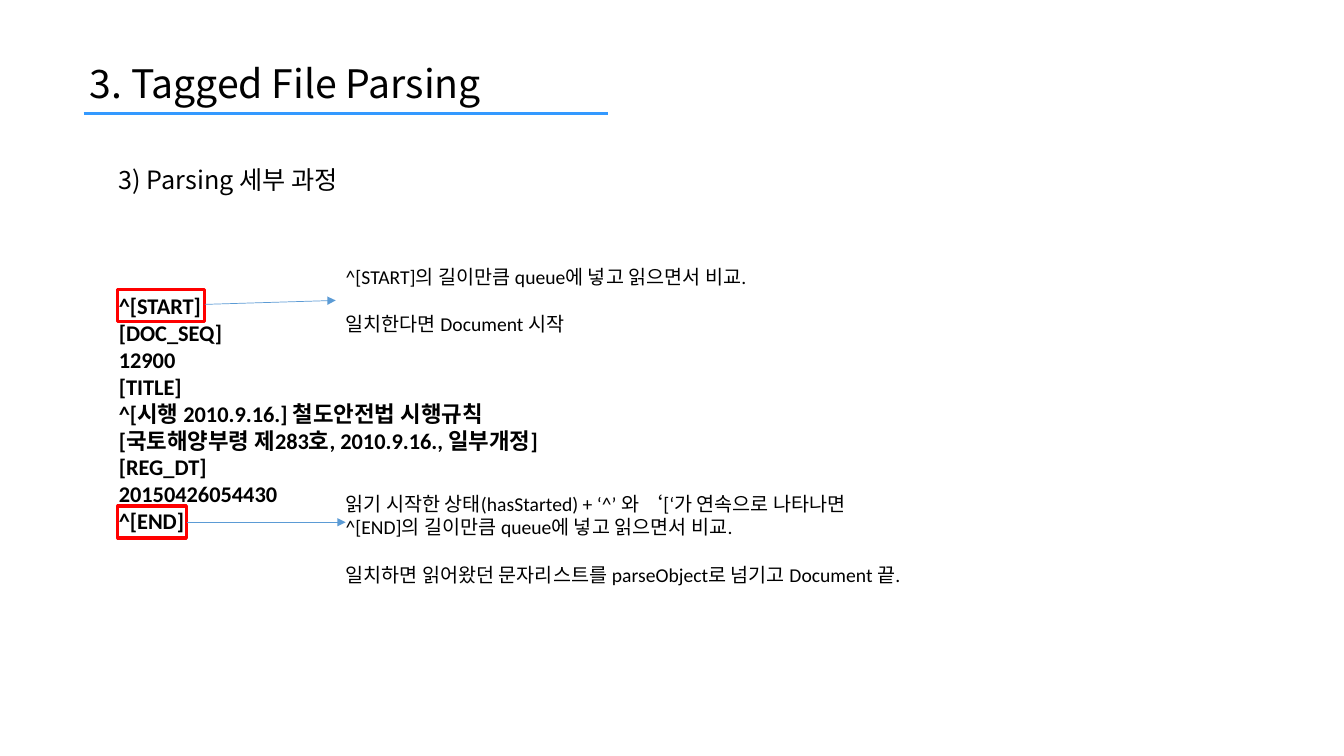
"""Build the slide that explains how a tagged file is parsed."""
from pptx import Presentation
from pptx import util as u
from pptx.dml.color import RGBColor
from pptx.enum import shapes, text
from pptx.oxml.ns import qn
from lxml import etree

HEADING_FONT = "Noto Sans CJK KR"
BODY_FONT = "Calibri"
BLACK, RED = "000000", "FF0000"
TITLE_BLUE, ARROW_BLUE = "3399FF", "5B9BD5"
TAGGED_LINES = [
    "^[START]",
    "[DOC_SEQ]",
    "12900",
    "[TITLE]",
    "^[시행 2010.9.16.] 철도안전법 시행규칙",
    "[국토해양부령 제283호, 2010.9.16., 일부개정]",
    "[REG_DT]",
    "20150426054430",
    "^[END]",
]
START_NOTE = ["^[START]의 길이만큼 queue에 넣고 읽으면서 비교.", "일치한다면 Document 시작"]
END_NOTE = [
    "읽기 시작한 상태(hasStarted) + ‘^’ 와 ‘[‘가 연속으로 나타나면",
    "^[END]의 길이만큼 queue에 넣고 읽으면서 비교.",
    "일치하면 읽어왔던 문자리스트를 parseObject로 넘기고 Document 끝.",
]


def colour(hex_string):
    """Turn a hex string into a colour."""
    return RGBColor.from_string(hex_string)


def lengths(*values):
    """Turn centimetre values into lengths."""
    return [u.Cm(value) for value in values]


def place(shape, left, top, width, height):
    """Move and size a shape, in centimetres."""
    shape.left, shape.top, shape.width, shape.height = lengths(left, top, width, height)


def write(shape, lines, size, font, bold=False, anchor=text.MSO_ANCHOR.TOP):
    """Fill a shape with plain left-aligned lines."""
    frame = shape.text_frame
    frame.text = "\n".join(lines)
    frame.word_wrap = True
    frame.auto_size = text.MSO_AUTO_SIZE.NONE
    frame.vertical_anchor = anchor
    for paragraph in frame.paragraphs:
        paragraph.alignment = text.PP_ALIGN.LEFT
        paragraph.space_before = u.Pt(0)
        for run in paragraph.runs:
            run.font.size = u.Pt(size)
            run.font.name = font
            run.font.bold = bold
            run.font.color.rgb = colour(BLACK)


def remove_bullets(shape):
    """Take the bullets and indents off every paragraph."""
    for paragraph in shape.text_frame.paragraphs:
        properties = paragraph._p.get_or_add_pPr()
        properties.set("marL", "0")
        properties.set("indent", "0")
        etree.SubElement(properties, qn("a:buNone"))


def add_text(slide, box, lines, size, font, anchor=text.MSO_ANCHOR.TOP):
    """Add a text box and return it."""
    shape = slide.shapes.add_textbox(*lengths(*box))
    write(shape, lines, size, font, anchor=anchor)
    return shape


def add_note(slide, box, lines):
    """Add a note whose last line stands one line apart."""
    note = add_text(slide, box, lines, 14, BODY_FONT)
    note.text_frame.paragraphs[-1].space_before = u.Pt(17)


def add_frame(slide, top, width):
    """Add a red frame around a marker in the listing."""
    frame = slide.shapes.add_shape(
        shapes.MSO_SHAPE.RECTANGLE, *lengths(2.97, top, width, 0.81))
    frame.shadow.inherit = False
    frame.fill.background()
    frame.line.color.rgb = colour(RED)
    frame.line.width = u.Pt(2.25)


def add_line(slide, ends, hex_string, width, arrow=False):
    """Add a straight line, with an arrowhead at its end if wanted."""
    line = slide.shapes.add_connector(
        shapes.MSO_CONNECTOR.STRAIGHT, *lengths(*ends))
    line.line.color.rgb = colour(hex_string)
    line.line.width = u.Pt(width)
    if arrow:
        etree.SubElement(line.line._get_or_add_ln(), qn("a:tailEnd"), type="triangle")
    etree.SubElement(line._element.spPr, qn("a:effectLst"))


def main():
    """Build the slide and save it."""
    presentation = Presentation()
    presentation.slide_width, presentation.slide_height = lengths(33.87, 19.05)
    slide = presentation.slides.add_slide(presentation.slide_layouts[1])

    title = slide.shapes.title
    place(title, 2.01, 1.37, 13.44, 1.45)
    write(title, ["3. Tagged File Parsing"], 28, HEADING_FONT,
          anchor=text.MSO_ANCHOR.MIDDLE)
    add_line(slide, (2.11, 2.87, 15.32, 2.87), TITLE_BLUE, 2.25)
    add_text(slide, (2.74, 4.01, 10.08, 1.02), ["3) Parsing 세부 과정"], 18,
             HEADING_FONT, anchor=text.MSO_ANCHOR.MIDDLE)

    listing = slide.placeholders[1]
    place(listing, 2.74, 7.24, 13.87, 6.58)
    write(listing, TAGGED_LINES, 16, BODY_FONT, bold=True)
    remove_bullets(listing)

    add_frame(slide, 7.29, 2.18)
    add_frame(slide, 12.75, 1.73)
    add_note(slide, (8.46, 6.55, 11.96, 2.06), START_NOTE)
    add_note(slide, (8.46, 12.27, 15.09, 2.64), END_NOTE)
    add_line(slide, (4.72, 13.16, 8.71, 13.16), ARROW_BLUE, 0.5, arrow=True)
    add_line(slide, (5.16, 7.67, 8.46, 7.57), ARROW_BLUE, 0.5, arrow=True)
    presentation.save("out.pptx")


if __name__ == "__main__":
    main()
